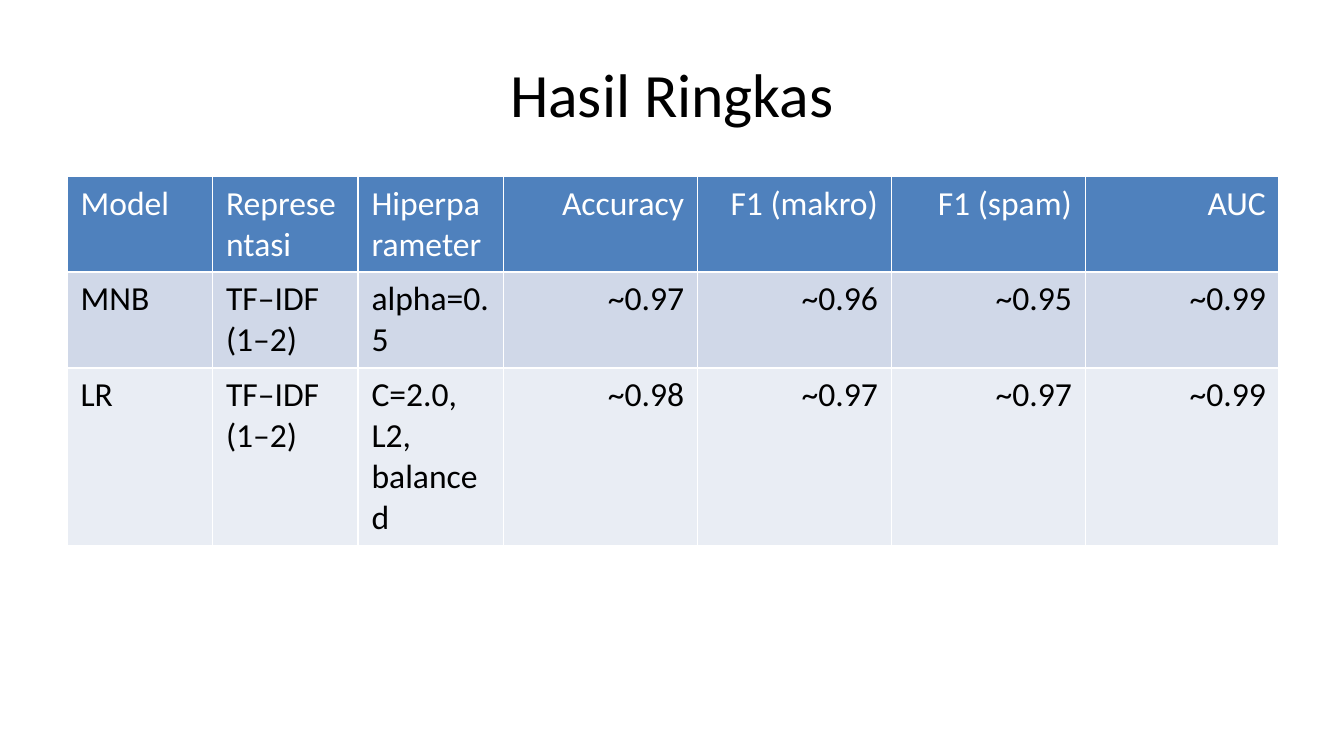
import dataclasses

import pptx
import pptx.dml.color
import pptx.enum.text
import pptx.util


@dataclasses.dataclass(frozen=True)
class Theme:
    """Colours, font and type sizes of the slide."""

    font: str = "Calibri"
    title_size: int = 33
    table_size: int = 18
    ink: str = "000000"
    header_ink: str = "FFFFFF"
    row_fills: tuple = ("4F81BD", "D0D8E8", "E9EDF4")


THEME = Theme()
SLIDE_WIDTH = pptx.util.Inches(10)
SLIDE_HEIGHT = pptx.util.Emu(SLIDE_WIDTH * 9 // 16)
MARGIN = 0.05
TITLE_BOX = (MARGIN, 0.04, 1 - 2 * MARGIN, 1 / 6)
RESULTS_BOX = (MARGIN, 7 / 30, 0.902, 0.487)

HEADINGS = ("Model", "Representasi", "Hiperparameter", "Accuracy", "F1 (makro)", "F1 (spam)", "AUC")
MODELS = (
    ("MNB", "TF–IDF (1–2)", "alpha=0.5", "~0.97", "~0.96", "~0.95", "~0.99"),
    ("LR", "TF–IDF (1–2)", "C=2.0, L2, balanced", "~0.98", "~0.97", "~0.97", "~0.99"),
)
DESCRIPTIVE_COLUMNS = 3
COLUMN_SHARES = (0.12,) * DESCRIPTIVE_COLUMNS + (0.16,) * 4
ROW_SHARES = (0.26, 0.26, 0.48)


def to_lengths(box):
    """Turn shares of the slide into left, top, width and height."""
    sides = (SLIDE_WIDTH, SLIDE_HEIGHT) * 2
    return [pptx.util.Emu(round(share * side)) for share, side in zip(box, sides)]


def apply_format(target, values):
    """Set each attribute named in values on the target."""
    for name, value in values.items():
        setattr(target, name, value)


def write_text(frame, text, size, colour, alignment):
    """Fill a text frame with one formatted paragraph."""
    frame.text = text
    paragraph = frame.paragraphs[0]
    paragraph.alignment = alignment
    font = paragraph.runs[0].font
    apply_format(font, {"name": THEME.font, "size": pptx.util.Pt(size), "bold": False})
    font.color.rgb = pptx.dml.color.RGBColor.from_string(colour)


def place_title(slide, box, heading):
    """Place the slide's title in its box."""
    title = slide.shapes.title
    apply_format(title, dict(zip(("left", "top", "width", "height"), to_lengths(box))))
    title.text_frame.vertical_anchor = pptx.enum.text.MSO_ANCHOR.MIDDLE
    write_text(title.text_frame, heading, THEME.title_size, THEME.ink, pptx.enum.text.PP_ALIGN.CENTER)


def place_results(slide, box, rows):
    """Place the table of model scores in its box."""
    left, top, width, height = to_lengths(box)
    results = slide.shapes.add_table(len(rows), len(rows[0]), left, top, width, height).table
    for column, share in zip(results.columns, COLUMN_SHARES):
        column.width = round(width * share)
    for row, share in zip(results.rows, ROW_SHARES):
        row.height = round(height * share)
    for row_index, (entries, fill) in enumerate(zip(rows, THEME.row_fills)):
        ink = THEME.ink if row_index else THEME.header_ink
        for column_index, entry in enumerate(entries):
            cell = results.cell(row_index, column_index)
            cell.fill.solid()
            cell.fill.fore_color.rgb = pptx.dml.color.RGBColor.from_string(fill)
            is_score = column_index >= DESCRIPTIVE_COLUMNS
            side = pptx.enum.text.PP_ALIGN.RIGHT if is_score else pptx.enum.text.PP_ALIGN.LEFT
            write_text(cell.text_frame, entry, THEME.table_size, ink, side)


def main():
    """Build the results slide and save it."""
    deck = pptx.Presentation()
    apply_format(deck, {"slide_width": SLIDE_WIDTH, "slide_height": SLIDE_HEIGHT})
    slide = deck.slides.add_slide(deck.slide_layouts.get_by_name("Title Only"))
    place_title(slide, TITLE_BOX, "Hasil Ringkas")
    place_results(slide, RESULTS_BOX, (HEADINGS, *MODELS))
    deck.save("out.pptx")


if __name__ == "__main__":
    main()
